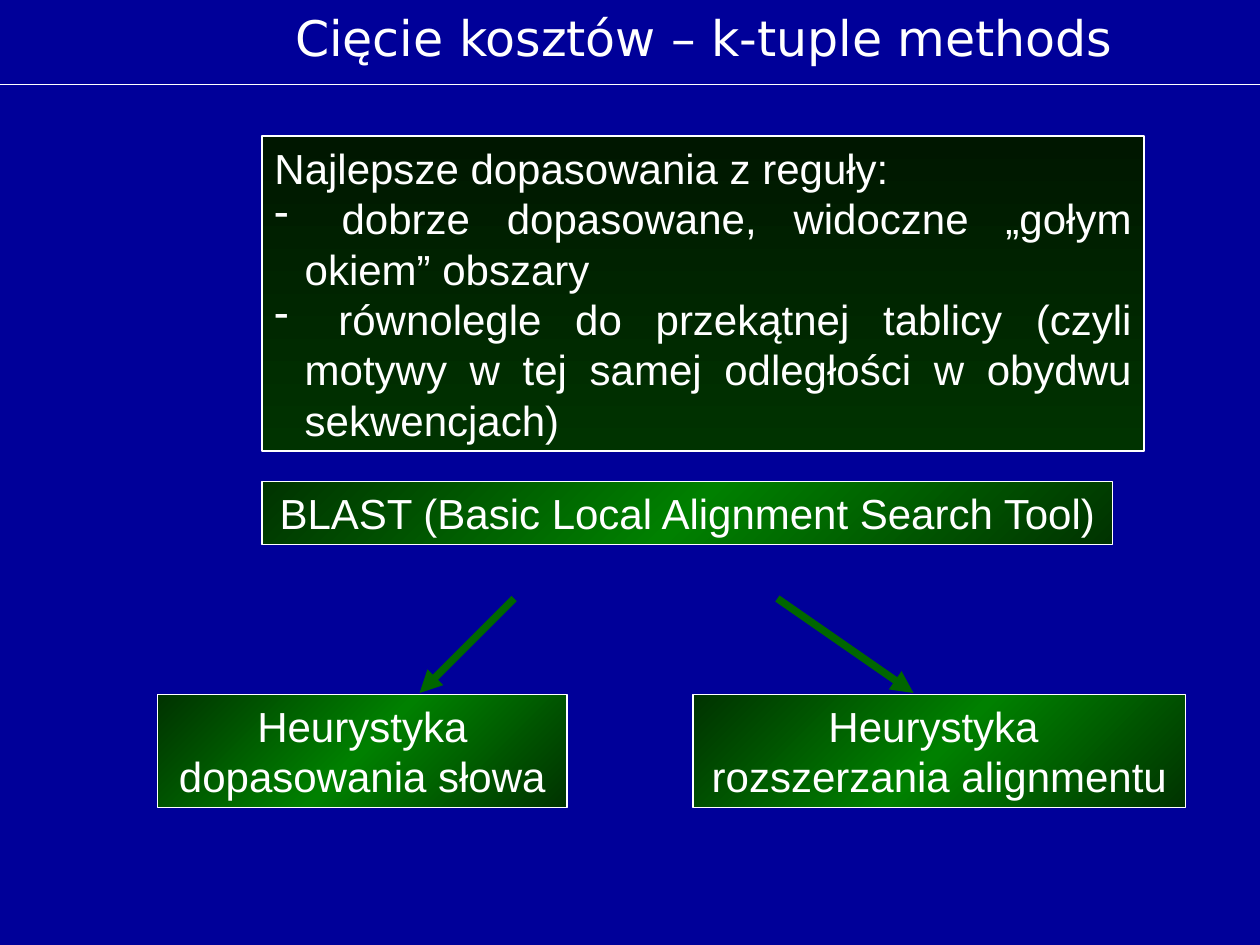
import dataclasses

import pptx
import pptx.dml.color
import pptx.enum.dml
import pptx.enum.shapes
import pptx.enum.text
import pptx.oxml.ns
import pptx.util
from lxml import etree

Inches = pptx.util.Inches
Align = pptx.enum.text.PP_ALIGN
qn = pptx.oxml.ns.qn


@dataclasses.dataclass(frozen=True)
class Theme:
    background: str = "000099"
    text: str = "FFFFFF"
    arrow: str = "006600"
    panel_stops: tuple = ((0, "001700"), (100, "003300"))
    label_stops: tuple = ((0, "003300"), (50, "008000"), (100, "003300"))
    title_font: str = "DejaVu Sans"
    body_font: str = "Arial"
    title_size: int = 28
    body_size: int = 24
    thin: float = 0.75
    thick: float = 4.25


THEME = Theme()


def rgb(value):
    return pptx.dml.color.RGBColor.from_string(value)


def fill_gradient(shape, stops, angle):
    """Fill with (percent, colour) stops along a clockwise angle."""
    shape.fill.gradient()
    shape.fill.gradient_angle = 360 - angle
    stop_list = shape._element.spPr.find(qn("a:gradFill")).find(qn("a:gsLst"))
    for stop in list(stop_list):
        stop_list.remove(stop)
    for percent, colour in stops:
        stop = etree.SubElement(stop_list, qn("a:gs"), pos=str(percent * 1000))
        etree.SubElement(stop, qn("a:srgbClr"), val=colour)


def add_dash_bullet(paragraph):
    properties = paragraph._p.get_or_add_pPr()
    indent = Inches(0.24)
    properties.set("marL", str(indent))
    properties.set("indent", str(-indent))
    colour = etree.SubElement(properties, qn("a:buClr"))
    etree.SubElement(colour, qn("a:srgbClr"), val=THEME.text)
    etree.SubElement(properties, qn("a:buChar"), char="-")


def write_text(shape, lines, font_name, size, alignment, first_bullet=None):
    frame = shape.text_frame
    frame.word_wrap = True
    for index, line in enumerate(lines):
        paragraph = frame.paragraphs[0] if index == 0 else frame.add_paragraph()
        paragraph.text = line
        paragraph.alignment = alignment
        if first_bullet is not None and index >= first_bullet:
            add_dash_bullet(paragraph)
        paragraph.font.name = font_name
        paragraph.font.size = pptx.util.Pt(size)
        paragraph.font.color.rgb = rgb(THEME.text)


def add_title(slide, text):
    shape = slide.shapes.add_textbox(Inches(1.17), 0, Inches(8.83), Inches(0.59))
    write_text(shape, [text], THEME.title_font, THEME.title_size, Align.CENTER)
    shape.text_frame.vertical_anchor = pptx.enum.text.MSO_ANCHOR.MIDDLE


def add_box(shapes, place, lines, stops=THEME.label_stops, angle=225,
            alignment=Align.CENTER, first_bullet=None):
    shape = shapes.add_shape(pptx.enum.shapes.MSO_SHAPE.RECTANGLE,
                             *(Inches(length) for length in place))
    shape.shadow.inherit = False
    fill_gradient(shape, stops, angle)
    shape.line.color.rgb = rgb(THEME.text)
    shape.line.width = pptx.util.Pt(THEME.thin)
    write_text(shape, lines, THEME.body_font, THEME.body_size, alignment, first_bullet)
    shape.text_frame.vertical_anchor = pptx.enum.text.MSO_ANCHOR.TOP
    shape.text_frame.auto_size = pptx.enum.text.MSO_AUTO_SIZE.SHAPE_TO_FIT_TEXT


def add_line(shapes, start, end, colour, width, arrow=False):
    line = shapes.add_connector(pptx.enum.shapes.MSO_CONNECTOR.STRAIGHT,
                                *(Inches(length) for length in start + end))
    line.line.color.rgb = rgb(colour)
    line.line.width = pptx.util.Pt(width)
    if arrow:
        etree.SubElement(line.line._get_or_add_ln(), qn("a:tailEnd"), type="triangle")
    etree.SubElement(line._element.spPr, qn("a:effectLst"))


def add_branch(slide, place, lines, start, end):
    """A result box with the arrow that leads to it."""
    group = slide.shapes.add_group_shape()
    add_box(group.shapes, place, lines)
    add_line(group.shapes, start, end, THEME.arrow, THEME.thick, arrow=True)


def main():
    presentation = pptx.Presentation()
    presentation.slide_width = Inches(10)
    presentation.slide_height = Inches(7.5)
    slide = presentation.slides.add_slide(presentation.slide_layouts[6])
    slide.background.fill.solid()
    slide.background.fill.fore_color.rgb = rgb(THEME.background)

    # Title and rule
    add_title(slide, "Cięcie kosztów – k-tuple methods")
    add_line(slide.shapes, (0, 0.67), (10, 0.67), THEME.text, THEME.thin)

    # Properties of the best alignments
    add_box(slide.shapes, (2.08, 1.08, 7, 2.5), [
        "Najlepsze dopasowania z reguły:",
        " dobrze dopasowane, widoczne „gołym okiem” obszary",
        " równolegle do przekątnej tablicy (czyli motywy w tej samej "
        "odległości w obydwu sekwencjach)",
    ], THEME.panel_stops, 90, Align.JUSTIFY, first_bullet=1)

    # Method and its two heuristics
    add_box(slide.shapes, (2.08, 3.82, 6.75, 0.5),
            ["BLAST (Basic Local Alignment Search Tool)"])
    add_branch(slide, (1.25, 5.51, 3.25, 0.9), ["Heurystyka dopasowania słowa"],
               (4.08, 4.75), (3.33, 5.5))
    add_branch(slide, (5.5, 5.51, 3.91, 0.9), ["Heurystyka ", "rozszerzania alignmentu"],
               (6.17, 4.75), (7.25, 5.5))

    presentation.save("out.pptx")


if __name__ == "__main__":
    main()
